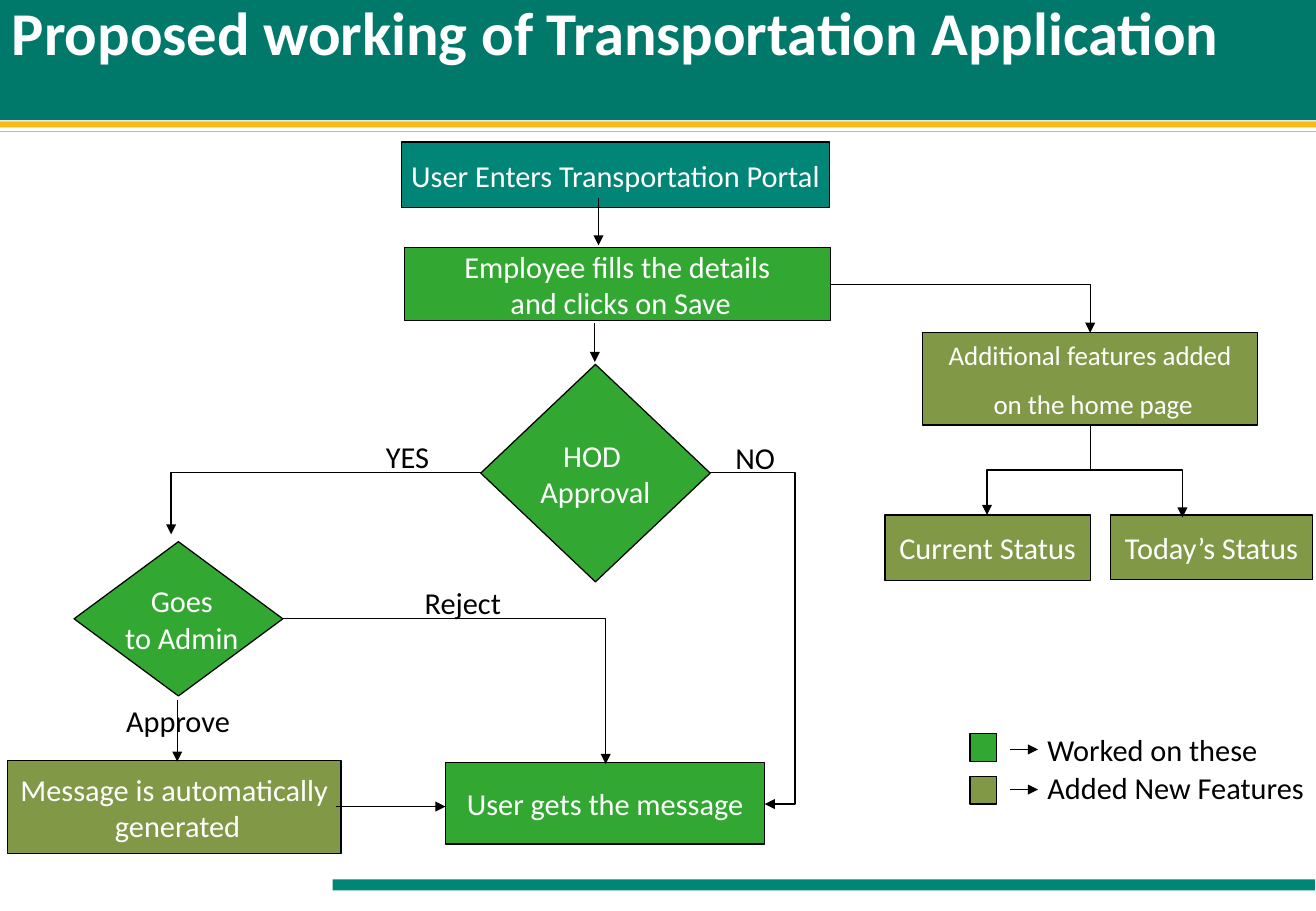
import dataclasses

import pptx
import pptx.dml.color
import pptx.enum.shapes
import pptx.enum.text
import pptx.oxml
import pptx.oxml.ns
import pptx.util

Inches, Pt = pptx.util.Inches, pptx.util.Pt
SHAPE = pptx.enum.shapes.MSO_SHAPE
CONNECTOR = pptx.enum.shapes.MSO_CONNECTOR
ALIGN = pptx.enum.text.PP_ALIGN
ANCHOR = pptx.enum.text.MSO_ANCHOR


@dataclasses.dataclass(frozen=True)
class Theme:
    """Colours, font and type sizes of the slide."""
    font: str = "Calibri"
    title: int = 36
    body: int = 18
    small: int = 16
    label_gap: float = 11.2
    line: float = 0.75
    header: str = "00786A"
    teal: str = "008576"
    gold: str = "FDB913"
    worked: str = "32A832"
    added: str = "819846"
    white: str = "FFFFFF"
    black: str = "000000"


T = Theme()


def rgb(value):
    """Return the colour for a hex string."""
    return pptx.dml.color.RGBColor.from_string(value)


def place(box, at):
    """Turn a place inside a box into slide lengths."""
    x, y = at[:2]
    return [Inches(v) for v in (box[0] + x, box[1] + y, *at[2:])]


def write(tf, text, size=T.body, color=T.white, bold=False, align=ALIGN.CENTER,
          anchor=ANCHOR.MIDDLE, wrap=False, before=0, spacing=1.0):
    """Write text into a frame, one paragraph per line."""
    tf.word_wrap = wrap
    tf.vertical_anchor = anchor
    for i, line in enumerate(text.split("\n")):
        p = tf.paragraphs[0] if i == 0 else tf.add_paragraph()
        p.alignment, p.space_before, p.line_spacing = align, Pt(before), spacing
        r = p.add_run()
        r.text = line
        r.font.name, r.font.size, r.font.bold = T.font, Pt(size), bold
        r.font.color.rgb = rgb(color)


def node(s, box, at, fill, text="", kind=SHAPE.RECTANGLE, outline=True, **fmt):
    """Draw a filled shape with optional text."""
    sp = s.shapes.add_shape(kind, *place(box, at))
    sp.shadow.inherit = False
    sp.fill.solid()
    sp.fill.fore_color.rgb = rgb(fill)
    if outline:
        sp.line.color.rgb = rgb(T.black)
        sp.line.width = Pt(T.line)
    else:
        sp.line.fill.background()
    if text:
        write(sp.text_frame, text, **fmt)


def label(s, box, at, text):
    """Draw a black left-aligned label."""
    sp = s.shapes.add_textbox(*place(box, (*at, 0.4)))
    write(sp.text_frame, text, color=T.black, align=ALIGN.LEFT,
          anchor=ANCHOR.TOP, wrap=True, before=T.label_gap)


def link(s, box, start, end, preset="line", adjust=None, turned=False,
         color=T.black, width=T.line, arrow=True):
    """Join two points; a turned link leaves vertically."""
    if turned:
        cx, cy = (start[0] + end[0]) / 2, (start[1] + end[1]) / 2
        half_w, half_h = (end[1] - start[1]) / 2, (start[0] - end[0]) / 2
        start, end = (cx - half_w, cy - half_h), (cx + half_w, cy + half_h)
    kind = CONNECTOR.STRAIGHT if preset == "line" else CONNECTOR.ELBOW
    c = s.shapes.add_connector(kind, *place(box, start), *place(box, end))
    c.line.color.rgb = rgb(color)
    c.line.width = Pt(width)
    pr = c._element.spPr
    qn, sub = pptx.oxml.ns.qn, pptx.oxml.parse_xml
    ns = pptx.oxml.ns.nsdecls("a")
    geom = pr.find(qn("a:prstGeom"))
    geom.set("prst", preset)
    if turned:
        pr.find(qn("a:xfrm")).set("rot", "5400000")
    if adjust is not None:
        for old in geom.findall(qn("a:avLst")):
            geom.remove(old)
        geom.append(sub(f'<a:avLst {ns}><a:gd name="adj1" '
                        f'fmla="val {round(adjust * 100000)}"/></a:avLst>'))
    if arrow:
        pr.find(qn("a:ln")).append(sub(f'<a:tailEnd {ns} type="triangle"/>'))
    pr.append(sub(f"<a:effectLst {ns}/>"))


def frame(s, box):
    """Draw the title band, its rules and the footer bar."""
    w, h = box[2:]
    node(s, box, (2.74, h - 0.26, w - 2.75, 0.09), T.teal, outline=False)
    node(s, box, (0, 1, w, 0.05), T.gold, outline=False)
    link(s, box, (0, 1.08), (w, 1.08), color=T.gold, width=0.5, arrow=False)
    node(s, box, (0, -0.02, w, 1.01), T.header,
         "Proposed working of Transportation Application", outline=False,
         size=T.title, bold=True, align=ALIGN.LEFT, anchor=ANCHOR.TOP,
         wrap=True, spacing=0.9)


def approval_flow(s, box):
    """Draw the request and approval flow."""
    for at, fill, text, kind in (
            ((3.25, 0, 3.52, 0.54), T.teal, "User Enters Transportation Portal",
             SHAPE.FLOWCHART_PROCESS),
            ((3.27, 0.87, 3.51, 0.6), T.worked,
             "Employee fills the details\n and clicks on Save", SHAPE.RECTANGLE),
            ((3.9, 1.83, 1.89, 1.79), T.worked, "HOD \nApproval",
             SHAPE.FLOWCHART_DECISION),
            ((3.61, 5.11, 2.63, 0.67), T.worked, "User gets the message",
             SHAPE.RECTANGLE),
            ((0, 5.09, 2.75, 0.77), T.added,
             "Message is automatically\n generated", SHAPE.RECTANGLE),
            ((0.55, 3.29, 1.72, 1.27), T.worked, " Goes\n to Admin",
             SHAPE.FLOWCHART_DECISION)):
        node(s, box, at, fill, text, kind)
    for at, text in (((5.9, 2.4, 0.57), "NO"), ((3.02, 2.39, 0.81), "YES"),
                     ((0.88, 4.56, 1.17), "Approve"),
                     ((3.34, 3.59, 1.36), "Reject")):
        label(s, box, at, text)
    for start, end in (((4.87, 0.46), (4.87, 0.85)), ((4.84, 1.49), (4.84, 1.81)),
                       ((1.4, 4.59), (1.4, 5.1)), ((2.71, 5.47), (3.61, 5.47))):
        link(s, box, start, end)
    for start, end in (((3.9, 2.72), (1.35, 3.23)), ((2.27, 3.92), (4.93, 5.12))):
        link(s, box, start, end, "bentConnector2")
    link(s, box, (5.78, 2.72), (6.24, 5.45), "bentConnector3", adjust=1.54)


def home_features(s, box):
    """Draw the branch of features added to the home page."""
    node(s, box, (0.76, 0.4, 2.76, 0.76), T.added,
         "Additional features added\n on the home page", size=T.small, before=10)
    for at, text in (((0.45, 1.9, 1.69, 0.54), "Current Status"),
                     ((2.31, 1.9, 1.66, 0.53), "Today’s Status")):
        node(s, box, at, T.added, text, before=T.label_gap)
    link(s, box, (0, 0), (2.14, 0.4), "bentConnector2")
    link(s, box, (2.14, 1.16), (1.29, 1.9), "bentConnector3", adjust=0.5, turned=True)
    link(s, box, (2.12, 1.53), (2.9, 1.92), "bentConnector2")


def legend(s, box):
    """Draw the colour key."""
    for key_y, arrow_y, text_y, fill, text in (
            (0.07, 0.2, 0, T.worked, "Worked on these"),
            (0.42, 0.53, 0.31, T.added, "Added New Features")):
        node(s, box, (0, key_y, 0.22, 0.23), fill)
        link(s, box, (0.33, arrow_y), (0.56, arrow_y))
        label(s, box, (0.54, text_y, 2.34), text)


def main():
    """Build and save the slide."""
    prs = pptx.Presentation()
    prs.slide_width, prs.slide_height = Inches(10.84), Inches(7.5)
    s = prs.slides.add_slide(prs.slide_layouts[6])
    frame(s, (0, 0, 10.84, 7.5))
    approval_flow(s, (0.06, 1.17))
    home_features(s, (6.84, 2.34))
    legend(s, (7.99, 5.97))
    prs.save("out.pptx")


if __name__ == "__main__":
    main()
